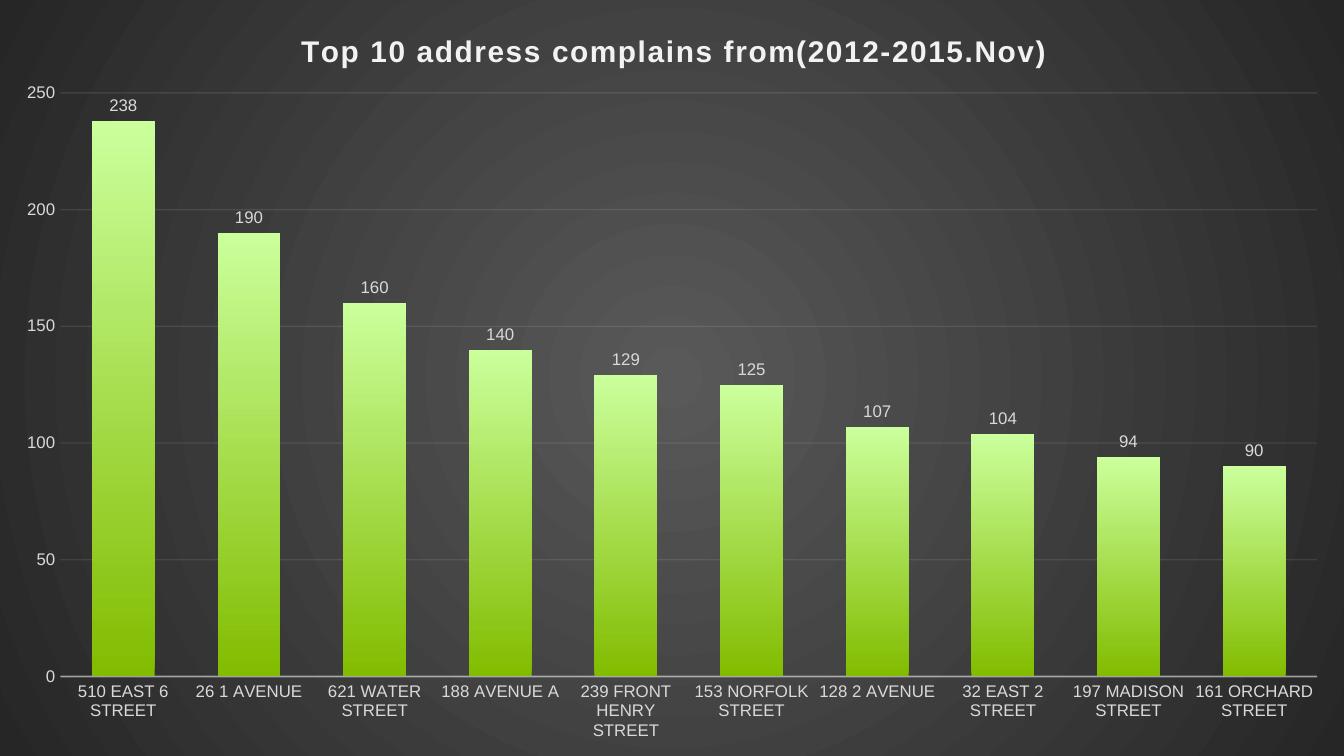
from lxml.etree import SubElement
from pptx import Presentation
from pptx.chart.data import CategoryChartData
from pptx.dml.color import RGBColor
from pptx.enum.chart import XL_CHART_TYPE, XL_LABEL_POSITION, XL_TICK_MARK
from pptx.oxml import parse_xml
from pptx.oxml.ns import nsdecls, qn
from pptx.util import Pt

COLORS = {
    "title": "F2F2F2", "label": "D9D9D9", "rule": "F2F2F2",
    "bar_bottom": "82BC00", "bar_top": "CBFF9C",
    "centre": "595959", "edge": "262626",
}
COMPLAINTS = {
    "510 EAST 6 STREET": 238, "26 1 AVENUE": 190, "621 WATER STREET": 160,
    "188 AVENUE A": 140, "239 FRONT HENRY STREET": 129,
    "153 NORFOLK STREET": 125, "128 2 AVENUE": 107, "32 EAST 2 STREET": 104,
    "197 MADISON STREET": 94, "161 ORCHARD STREET": 90,
}
TITLE = "Top 10 address complains from(2012-2015.Nov)"


def apply(target, **values):
    """Set each named attribute on the target."""
    for name, value in values.items():
        setattr(target, name, value)


def rgb(name):
    """Return the named palette colour."""
    return RGBColor.from_string(COLORS[name])


def style_font(font, size, color, bold=False):
    """Give a font its face, size, weight and colour."""
    apply(font, name="Arial", size=Pt(size), bold=bold)
    font.color.rgb = rgb(color)


def style_rule(line, width, color_path, chart, opacity):
    """Draw a translucent axis or grid line."""
    line.width = Pt(width)
    line.fill.solid()
    line.fill.fore_color.rgb = rgb("rule")
    for color in chart.element.xpath(color_path):
        SubElement(color, qn("a:alpha")).set("val", str(opacity * 1000))


def place_part(part, index, **fractions):
    """Fix a chart part at fractions of the chart area."""
    for old in part.findall(qn("c:layout")):
        part.remove(old)
    layout = parse_xml(f"<c:layout {nsdecls('c')}><c:manualLayout/></c:layout>")
    for name, value in fractions.items():
        SubElement(layout[0], qn(f"c:{name}")).set("val", str(value))
    part.insert(index, layout)


def fill_backdrop(chart):
    """Fill the chart area with a radial gradient."""
    backdrop = parse_xml(
        f'<c:spPr {nsdecls("c", "a")}><a:gradFill><a:gsLst>'
        f'<a:gs pos="0"><a:srgbClr val="{COLORS["centre"]}"/></a:gs>'
        f'<a:gs pos="100000"><a:srgbClr val="{COLORS["edge"]}"/></a:gs>'
        '</a:gsLst><a:path path="circle">'
        '<a:fillToRect l="50000" t="50000" r="50000" b="50000"/>'
        '</a:path></a:gradFill><a:ln><a:noFill/></a:ln></c:spPr>'
    )
    chart.element.find(qn("c:txPr")).addprevious(backdrop)


def style_title(chart):
    """Write the spaced bold title above the plot."""
    chart.has_title = True
    title = chart.chart_title
    title.include_in_layout = False
    run = title.text_frame.paragraphs[0].add_run()
    run.text = TITLE
    style_font(run.font, 16, "title", bold=True)
    for properties in chart.element.xpath("c:chart/c:title//a:r/a:rPr"):
        properties.set("spc", "100")
    place_part(chart.element.xpath("c:chart/c:title")[0], 1,
               xMode="edge", yMode="edge", x=0.22, y=0.035)


def style_axes(chart):
    """Format both axes and the gridlines."""
    streets, counts = chart.category_axis, chart.value_axis
    for axis in (streets, counts):
        apply(axis, major_tick_mark=XL_TICK_MARK.NONE,
              minor_tick_mark=XL_TICK_MARK.NONE)
        style_font(axis.tick_labels.font, 9, "label")
    apply(counts, minimum_scale=0, maximum_scale=250, major_unit=50,
          has_major_gridlines=True)
    counts.format.line.fill.background()
    style_rule(streets.format.line, 1,
               "c:chart/c:plotArea/c:catAx/c:spPr//a:srgbClr", chart, 54)
    style_rule(counts.major_gridlines.format.line, 0.75,
               "c:chart/c:plotArea/c:valAx/c:majorGridlines//a:srgbClr", chart, 10)


def style_bars(plot):
    """Format the gradient columns and their value labels."""
    apply(plot, gap_width=100, overlap=-24, vary_by_categories=False,
          has_data_labels=True)
    apply(plot.data_labels, show_value=True,
          position=XL_LABEL_POSITION.OUTSIDE_END)
    style_font(plot.data_labels.font, 9, "label")
    fill = plot.series[0].format.fill
    fill.gradient()
    fill.gradient_angle = 90
    for stop, color, position in zip(fill.gradient_stops,
                                     ("bar_bottom", "bar_top"), (0, 1)):
        stop.color.rgb = rgb(color)
        stop.position = position


def add_complaints_chart(slide, left, top, width, height):
    """Place the complaints column chart in the given box."""
    complaints = CategoryChartData()
    complaints.categories = list(COMPLAINTS)
    complaints.add_series("Series 1", list(COMPLAINTS.values()))
    chart = slide.shapes.add_chart(XL_CHART_TYPE.COLUMN_CLUSTERED, left, top,
                                   width, height, complaints).chart
    chart.has_legend = False
    apply(chart.font, name="Arial", size=Pt(10))
    fill_backdrop(chart)
    style_title(chart)
    style_axes(chart)
    style_bars(chart.plots[0])
    place_part(chart.element.xpath("c:chart/c:plotArea")[0], 0,
               layoutTarget="inner", xMode="edge", yMode="edge",
               x=0.045, y=0.123, w=0.935, h=0.772)


def main():
    """Build and save the presentation."""
    deck = Presentation()
    apply(deck, slide_width=Pt(720), slide_height=Pt(405))
    slide = deck.slides.add_slide(deck.slide_layouts[6])
    add_complaints_chart(slide, 0, 0, deck.slide_width, deck.slide_height)
    deck.save("out.pptx")


if __name__ == "__main__":
    main()
